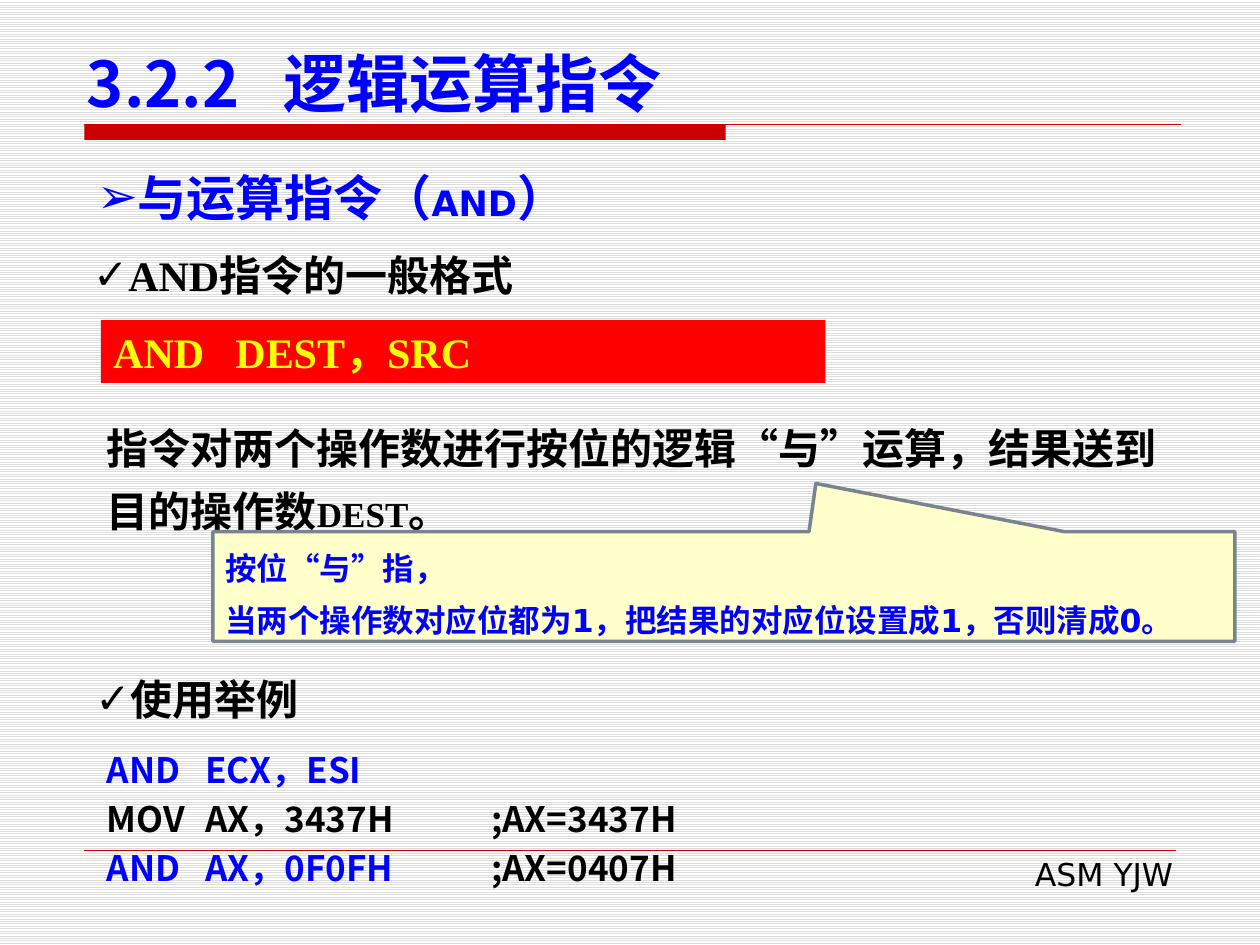
from lxml import etree
from pptx import Presentation
from pptx.dml.color import RGBColor
from pptx.enum.dml import MSO_PATTERN
from pptx.enum.shapes import MSO_CONNECTOR, MSO_SHAPE
from pptx.enum.text import MSO_ANCHOR as Anchor, MSO_AUTO_SIZE as AutoSize, PP_ALIGN as Align
from pptx.oxml.ns import qn
from pptx.util import Inches, Pt

COLORS = {
    "blue": "0000FF", "black": "000000", "yellow": "FFFF00", "red": "FF0000",
    "rule": "CC0000", "cream": "FFFFCC", "slate": "79848F",
    "stripe": "DDDDDD", "paper": "FFFFFF",
}
SANS, SERIF, CJK = "DejaVu Sans", "Times New Roman", "Noto Sans CJK SC"
COLUMNS, ROWS = 100, 75
BULLET_WIDTH = 0.84


def color(name):
    return RGBColor.from_string(COLORS[name])


class LessonSlide:
    def __init__(self, presentation):
        self.cell_width = presentation.slide_width / COLUMNS
        self.cell_height = presentation.slide_height / ROWS
        self.slide = presentation.slides.add_slide(presentation.slide_layouts[5])
        self.shapes = self.slide.shapes
        fill = self.slide.background.fill
        fill.patterned()
        fill.pattern = MSO_PATTERN.LIGHT_HORIZONTAL
        fill.fore_color.rgb = color("stripe")
        fill.back_color.rgb = color("paper")

    def place(self, column, row, width, height):
        return (round(column * self.cell_width), round(row * self.cell_height),
                round(width * self.cell_width), round(height * self.cell_height))

    def set_text(self, shape, paragraphs, font, size, ink="black", bold=True, anchor=Anchor.TOP,
                 align=Align.LEFT, line=None, before=None, bullet=None, tabs=()):
        frame = shape.text_frame
        frame.word_wrap = True
        frame.auto_size = AutoSize.NONE
        frame.vertical_anchor = anchor
        for index, pieces in enumerate(paragraphs):
            paragraph = frame.add_paragraph() if index else frame.paragraphs[0]
            paragraph.alignment = align
            paragraph.line_spacing = Pt(line) if line else None
            paragraph.space_before = Pt(before) if before else None
            for text, changes in pieces:
                run = paragraph.add_run()
                run.text = text
                run.font.name = font
                run.font.size = Pt(changes.get("size", size))
                run.font.bold = bold
                run.font.color.rgb = color(changes.get("ink", ink))
                etree.SubElement(run.font._element, qn("a:ea"), typeface=CJK)
            self.format_paragraph(paragraph, size, bullet, tabs)

    def format_paragraph(self, paragraph, size, bullet, tabs):
        properties = paragraph._p.get_or_add_pPr()
        if bullet:
            indent = Pt(size * BULLET_WIDTH)
            properties.set("marL", str(indent))
            properties.set("indent", str(-indent))
            etree.SubElement(properties, qn("a:buFont"), typeface=SANS)
            etree.SubElement(properties, qn("a:buChar"), char=bullet)
        if tabs:
            stops = etree.SubElement(properties, qn("a:tabLst"))
            for stop in tabs:
                etree.SubElement(stops, qn("a:tab"), pos=str(Inches(stop)), algn="l")

    def title(self, box, text, **style):
        shape = self.shapes.title
        shape.left, shape.top, shape.width, shape.height = self.place(*box)
        self.set_text(shape, [[(text, {})]], **style)

    def text(self, box, paragraphs, **style):
        self.set_text(self.shapes.add_textbox(*self.place(*box)), paragraphs, **style)

    def panel(self, box, fill, kind=MSO_SHAPE.RECTANGLE, outline=None, adjustments=(),
              paragraphs=(), **style):
        shape = self.shapes.add_shape(kind, *self.place(*box))
        shape.shadow.inherit = False
        shape.fill.solid()
        shape.fill.fore_color.rgb = color(fill)
        if outline:
            shape.line.color.rgb = color(outline)
            shape.line.width = Pt(2)
        else:
            shape.line.fill.background()
        for index, value in enumerate(adjustments):
            shape.adjustments[index] = value
        if paragraphs:
            self.set_text(shape, paragraphs, **style)

    def rule(self, column, row, width, weight):
        left, top, length, _ = self.place(column, row, width, 0)
        connector = self.shapes.add_connector(MSO_CONNECTOR.STRAIGHT, left, top, left + length, top)
        connector.line.color.rgb = color("rule")
        connector.line.width = Pt(weight)
        etree.SubElement(connector._element.spPr, qn("a:effectLst"))


def main():
    presentation = Presentation()
    presentation.slide_width, presentation.slide_height = Inches(10), Inches(7.5)
    lesson = LessonSlide(presentation)

    lesson.panel((6.7, 9.9, 50.9, 1.2), "rule")
    lesson.rule(6.7, 9.9, 87, 0.75)
    lesson.rule(6.7, 67.5, 86.6, 0.25)
    lesson.text((38.2, 67.4, 55.9, 4), [[("ASM YJW", {})]],
                font=SANS, size=18, bold=False, align=Align.RIGHT)
    lesson.title((5.9, 2.9, 90.6, 7.1), "3.2.2\t逻辑运算指令",
                 font=CJK, size=36, ink="blue", anchor=Anchor.BOTTOM, tabs=[1.56])

    lesson.text((6.7, 12.8, 86.6, 5.7),
                [[("与运算指令（", {}), ("AND", {"size": 20}), ("）", {})]],
                font=SANS, size=28, ink="blue", align=Align.JUSTIFY, bullet="➢")
    for box, heading in [((6.4, 19.3, 73.3, 5), "AND指令的一般格式"),
                         ((6.6, 53, 86.7, 5), "使用举例")]:
        lesson.text(box, [[(heading, {})]], font=SERIF, size=24, bullet="✓")

    lesson.panel((8, 25.4, 57.5, 5), "red", paragraphs=[[("AND\tDEST，SRC", {})]],
                 font=SERIF, size=24, ink="yellow", tabs=[0.97])
    lesson.text((7.5, 32, 85.8, 11.1),
                [[("指令对两个操作数进行按位的逻辑“与”运算，结果送到目的操作数", {}),
                  ("DEST", {"size": 20}), ("。", {})]],
                font=SERIF, size=24, line=36)

    lesson.text((7.5, 58.9, 78.2, 12.5),
                [[("AND\tECX，ESI", {})],
                 [("MOV\tAX，3437H\t;AX=3437H", {"ink": "black"})],
                 [("AND\tAX，0F0FH\t", {}), (";AX=0407H", {"ink": "black"})]],
                font=CJK, size=20, ink="blue", before=4, tabs=[0.78, 3.05])
    lesson.panel((16.9, 42.2, 81.1, 8.7), "cream", MSO_SHAPE.RECTANGULAR_CALLOUT, "slate",
                 adjustments=(0.09, -0.94),
                 paragraphs=[[("按位“与”指，", {})],
                             [("当两个操作数对应位都为1，把结果的对应位设置成1，否则清成0。", {})]],
                 font=SANS, size=18, ink="blue", anchor=Anchor.MIDDLE, line=30)

    presentation.save("out.pptx")


if __name__ == "__main__":
    main()
